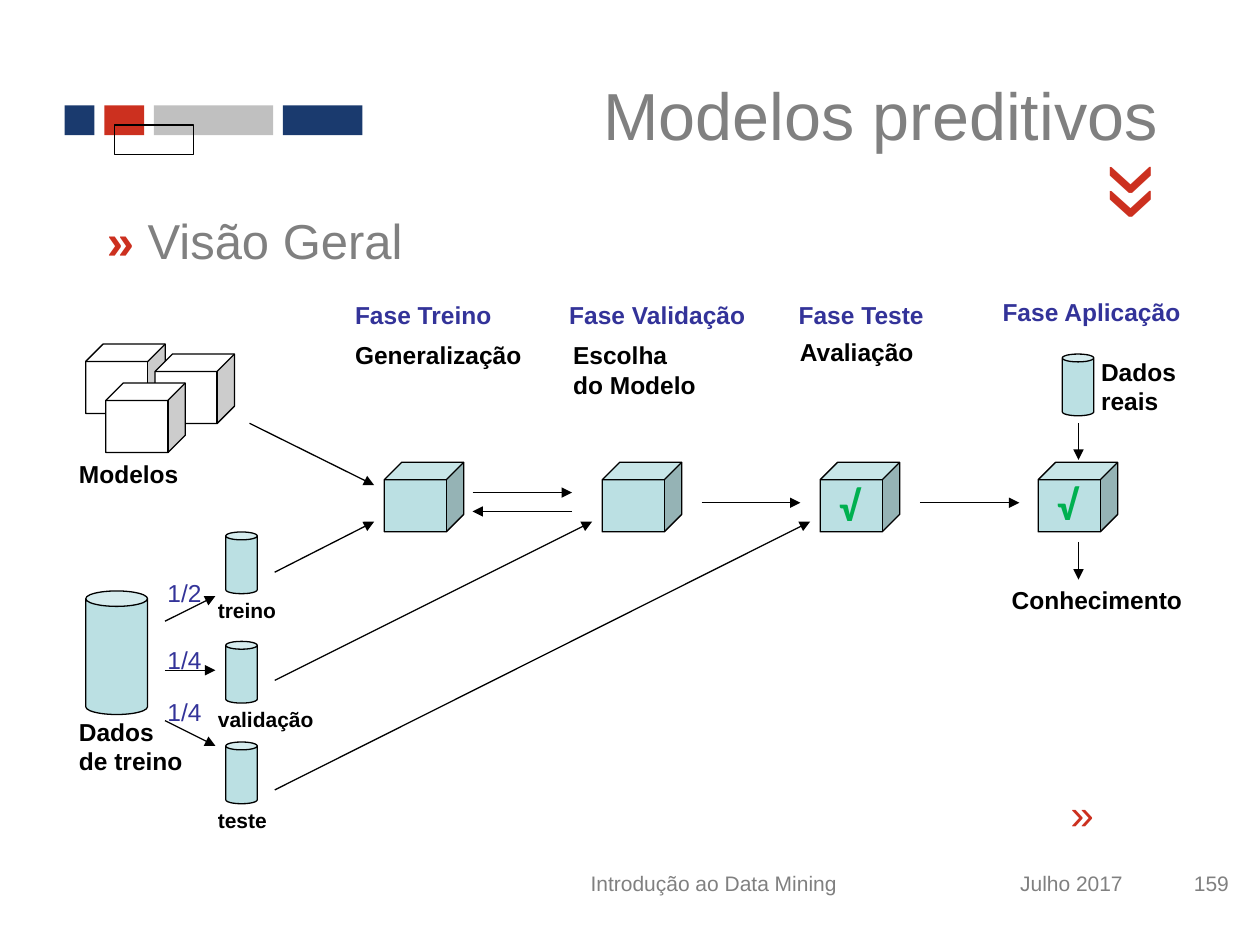
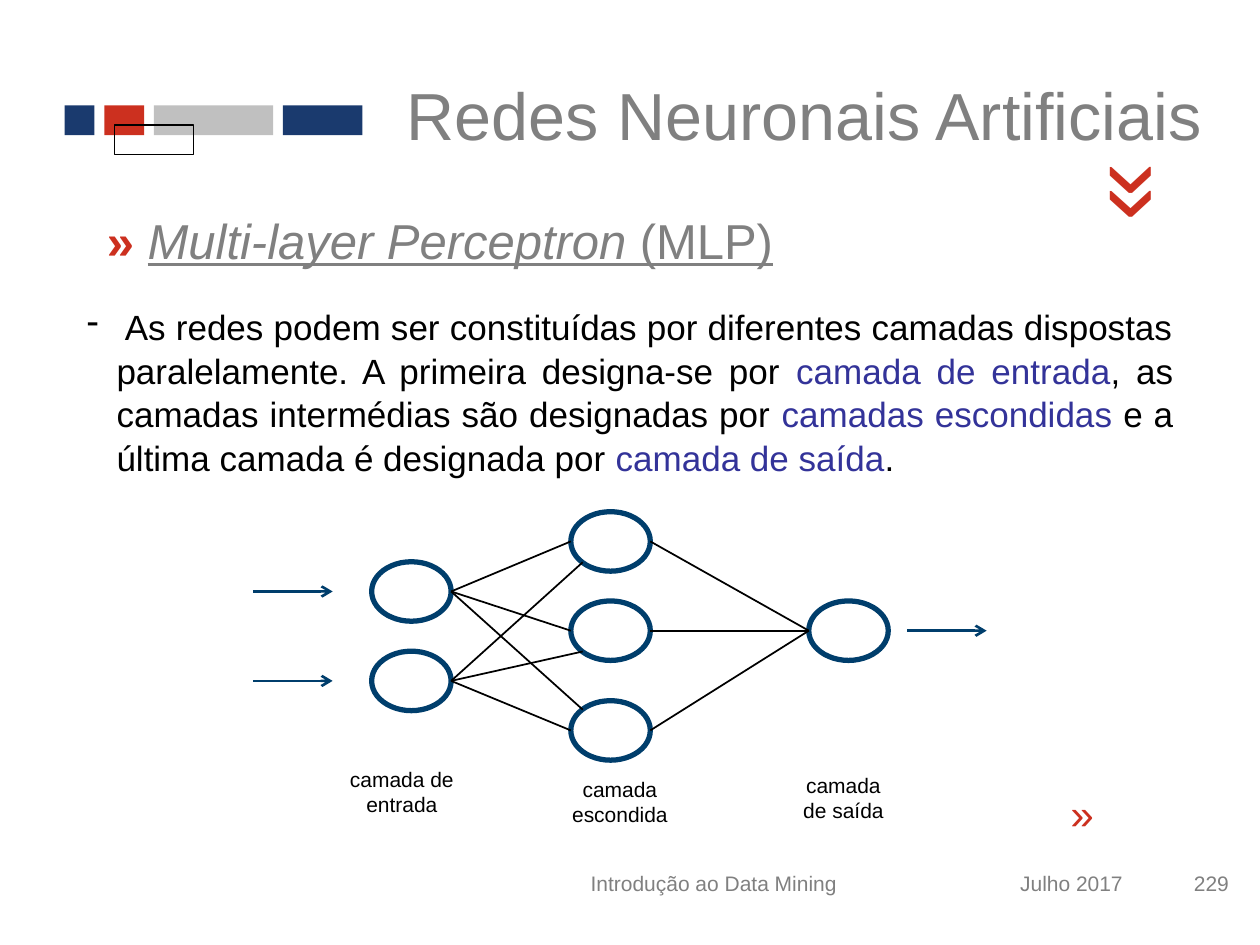
from lxml import etree
from pptx import Presentation
from pptx.dml.color import RGBColor
from pptx.enum import shapes, text
from pptx.oxml import ns
from pptx.util import Pt

NAVY, RED, SILVER, GRAY = "1A3A6E", "CC301F", "C0C0C0", "808080"
BLACK, WHITE, INDIGO, AQUA = "000000", "FFFFFF", "333399", "BBE0E3"
NEURON, GREEN = "003E6C", "00B050"
SHAPE, ALIGN = shapes.MSO_SHAPE, text.PP_ALIGN
LABEL = {"size": Pt(14), "bold": True}
SMALL_LABEL = {"size": Pt(12), "bold": True}
PHASE = {**LABEL, "color": INDIGO}
FOOTER = {"size": Pt(12), "color": GRAY}
CUBE, SMALL_CAN, LARGE_CAN = (45.4, 39.7), (18, 35.3), (35.3, 70.6)
STEP = 124.56


def color(value):
    """Turn a hex string into a colour."""
    return RGBColor.from_string(value)


def apply_format(font, values):
    """Set font attributes from a dict of format values."""
    for name, value in {"name": "Arial", "color": BLACK, **values}.items():
        if name == "color":
            font.color.rgb = color(value)
        else:
            setattr(font, name, value)


def add_bullet(paragraph, character, indent):
    """Give a paragraph a hanging bullet."""
    properties = paragraph._p.get_or_add_pPr()
    properties.set("marL", str(Pt(indent)))
    properties.set("indent", str(-Pt(indent)))
    etree.SubElement(properties, ns.qn("a:buChar")).set("char", character)


def add_text(slide, box, lines, values, align=ALIGN.LEFT, middle=False, wrap=True, rotation=0):
    """Add a text box whose lines are strings or lists of (text, format) runs."""
    shape = slide.shapes.add_textbox(*map(Pt, box))
    shape.rotation = rotation
    frame = shape.text_frame
    frame.word_wrap = wrap
    if middle:
        frame.vertical_anchor = text.MSO_ANCHOR.MIDDLE
    for index, line in enumerate(lines):
        paragraph = frame.add_paragraph() if index else frame.paragraphs[0]
        paragraph.alignment = align
        for words, extra in [(line, {})] if isinstance(line, str) else line:
            run = paragraph.add_run()
            run.text = words
            apply_format(run.font, {**values, **extra})
    return frame


def add_label(slide, left, top, width, lines, values=LABEL):
    """Add an unwrapped label as high as its lines."""
    height = len(lines) * values["size"].pt * 1.2 + 7.2
    add_text(slide, (left, top, width, height), lines, values, wrap=False)


def add_figure(slide, kind, left, top, size, fill=None, line=BLACK, weight=0.75):
    """Add a preset shape with optional fill and outline."""
    shape = slide.shapes.add_shape(kind, *map(Pt, (left, top, *size)))
    shape.shadow.inherit = False
    if fill:
        shape.fill.solid()
        shape.fill.fore_color.rgb = color(fill)
    else:
        shape.fill.background()
    if line:
        shape.line.color.rgb = color(line)
        shape.line.width = Pt(weight)
    else:
        shape.line.fill.background()


def add_line(slide, start, end, head="triangle", line=BLACK, weight=0.75):
    """Draw a straight line, with an arrowhead at its end unless head is None."""
    connector = slide.shapes.add_connector(
        shapes.MSO_CONNECTOR.STRAIGHT, *map(Pt, (*start, *end)))
    connector.line.color.rgb = color(line)
    connector.line.width = Pt(weight)
    properties = connector._element.spPr
    if head:
        outline = properties.find(ns.qn("a:ln"))
        etree.SubElement(outline, ns.qn("a:tailEnd")).set("type", head)
    etree.SubElement(properties, ns.qn("a:effectLst"))


def draw_band(slide, box):
    """Draw the coloured band and its outlined block."""
    left, top = box
    for offset, width, fill in ((0, 17, NAVY), (22.7, 22.7, RED),
                                (51, 68.2, SILVER), (124.8, 45.4, NAVY)):
        add_figure(slide, SHAPE.RECTANGLE, left + offset, top, (width, 17), fill, None)
    add_figure(slide, SHAPE.RECTANGLE, left + 28.5, top + 11.3, (45.4, 17))


def draw_footer(slide, box, number):
    """Write course, date and page number in the footer."""
    left, top, height = box
    for offset, width, words, align in (
            (0, 221, "Introdução ao Data Mining", ALIGN.CENTER),
            (221, 130.3, "Julho 2017", ALIGN.RIGHT),
            (355, 56.9, number, ALIGN.RIGHT)):
        add_text(slide, (left + offset, top, width, height), [words], FOOTER, align, True)


def new_slide(presentation, title, title_width, heading, number):
    """Add a slide with band, title, heading, chevrons and footer."""
    slide = presentation.slides.add_slide(presentation.slide_layouts[6])
    draw_band(slide, (36.9, 60.2))
    add_text(slide, (218.2, 31.7, title_width, 67), [title],
             {"size": Pt(38), "color": GRAY}, ALIGN.RIGHT, True)
    marker = ("» ", {"color": RED, "bold": True})
    add_text(slide, (54, 116.6, 607, 41), [[marker, *heading]],
             {"size": Pt(28), "color": GRAY})
    for box, size, rotation in (((595.4, 453, 36.7, 36), 24, 180),
                                ((618.5, 74.2, 39.6, 79.2), 60, 270)):
        add_text(slide, box, ["«"], {"size": Pt(size), "color": RED}, rotation=rotation)
    draw_footer(slide, (297.4, 484.6, 39.6), number)
    return slide


def draw_phases(slide, box):
    """Write the phase names and their purposes."""
    left, top = box
    for x, y, width, words in ((0, 0, 93, "Fase Treino"), (122.4, 0, 115, "Fase Validação"),
                               (253.5, 0, 86.5, "Fase Teste"),
                               (370, -1.5, 116.6, "Fase Aplicação")):
        add_label(slide, left + x, top + y, width, [words], PHASE)
    for x, y, width, lines in ((0, 23, 110, ["Generalização"]),
                               (124.6, 23, 85, ["Escolha", "do Modelo"]),
                               (254.2, 21.5, 80, ["Avaliação"])):
        add_label(slide, left + x, top + y, width, lines)


def draw_models(slide, box):
    """Draw the pile of candidate models and its arrow to training."""
    left, top = box
    for x, y in ((11, 0.6), (50.6, 6.3), (22.5, 22.9)):
        add_figure(slide, SHAPE.CUBE, left + x, top + y, CUBE, WHITE)
    add_label(slide, left, top + 62.5, 71.3, ["Modelos"])
    add_line(slide, (left + 104.6, top + 45.9), (left + 175.8, top + 81.2))


def draw_data(slide, box):
    """Draw the data store, its three samples and the arrows to each phase."""
    left, top = box
    add_figure(slide, SHAPE.CAN, left + 11, top + 33.7, LARGE_CAN, AQUA)
    add_label(slide, left, top + 102, 74.2, ["Dados", "de treino"])
    samples = (("treino", 48.2, 0, "1/2", 23, 51, 36.6, 23),
               ("validação", 70, 62.5, "1/4", 61, 79, 79, 84.8),
               ("teste", 42.5, 120, "1/4", 90.6, 107.8, 122.2, 147.4))
    for phase, (name, width, y, share, share_y, start, end, leave) in enumerate(samples):
        add_figure(slide, SHAPE.CAN, left + 91, top + y, SMALL_CAN, AQUA)
        add_label(slide, left + 79.4, top + y + 33.9, width, [name], SMALL_LABEL)
        add_label(slide, left + 50.6, top + share_y, 33.8, [share], {**PHASE, "bold": False})
        add_line(slide, (left + 56.3, top + start), (left + 85.1, top + end))
        add_line(slide, (left + 119, top + leave), (left + 175.8 + phase * STEP, top - 5.9))


def draw_pipeline(slide, box):
    """Draw the four phase cubes and the flow through them."""
    left, top = box
    for phase in range(4):
        add_figure(slide, SHAPE.CUBE, left + phase * STEP, top, CUBE, AQUA)
    for start, end, y in ((50.4, 107.3, 17.3), (107.3, 50.4, 28.1),
                          (181.4, 237.8, 23.1), (306, 362.9, 23.1)):
        add_line(slide, (left + start, top + y), (left + end, top + y))
    for phase, y in ((2, 6.5), (3, 5.8)):
        add_label(slide, left + phase * STEP + 3.6, top + y, 26.6, ["√"],
                  {"name": "Calibri", "size": Pt(24), "bold": True, "color": GREEN})
    add_figure(slide, SHAPE.CAN, left + 387.4, top - 61.9, SMALL_CAN, AQUA)
    add_label(slide, left + 402.5, top - 64, 57.6, ["Dados", "reais"])
    for start, end in ((-22.3, -1.4), (45.4, 67)):
        add_line(slide, (left + 396.7, top + start), (left + 396.7, top + end))
    add_label(slide, left + 351.4, top + 66.3, 112.3, ["Conhecimento"])


def draw_network(slide, box):
    """Draw the perceptron layers, their links, arrows and captions."""
    left, top = box
    width, height = 45.4, 34
    inputs = [(67.7, 28.6), (67.7, 79.7)]
    hidden = [(181.5, 0), (181.5, 51), (181.5, 108)]
    output = (317.5, 51)

    def site(node, across, down):
        """Find a point of a neuron by fractions of its size."""
        return left + node[0] + across * width, top + node[1] + down * height

    for node in (*inputs, *hidden, output):
        add_figure(slide, SHAPE.OVAL, left + node[0], top + node[1], (width, height),
                   None, NEURON, 3)
    west, southwest, northwest = (0, 0.5), (0.15, 0.85), (0.15, 0.15)
    links = [(site(source, 1, 0.5), site(target, *side))
             for source, sides in zip(inputs, ((west, west, northwest),
                                               (southwest, southwest, west)))
             for target, side in zip(hidden, sides)]
    links += [(site(node, 1, 0.5), site(output, *west)) for node in hidden]
    for start, end in links:
        add_line(slide, start, end, None, weight=1)
    for x, node in ((0, inputs[0]), (0, inputs[1]), (373.7, output)):
        y = top + node[1] + height / 2
        add_line(slide, (left + x, y), (left + x + 45.4, y), "arrow", NEURON, 1.5)
    for x, y, wide, words in ((45.4, 142, 79.2, "camada de entrada"),
                              (170, 147.7, 79.2, "camada escondida"),
                              (306, 145.5, 62.6, "camada de saída")):
        add_text(slide, (left + x, top + y, wide, 36), [words], {"size": Pt(12)}, ALIGN.CENTER)


def draw_explanation(slide, box):
    """Write the justified explanation of the layers."""
    accent = {"color": INDIGO}
    runs = [(" As redes podem ser constituídas por diferentes camadas dispostas "
             "paralelamente. A primeira designa-se por ", {}),
            ("camada de entrada", accent),
            (", as camadas intermédias são designadas por ", {}),
            ("camadas escondidas ", accent),
            ("e a última camada é designada por ", {}),
            ("camada de saída", accent), (".", {})]
    frame = add_text(slide, box, [runs], {"size": Pt(20)}, ALIGN.JUSTIFY)
    paragraph = frame.paragraphs[0]
    paragraph.line_spacing = 1.04
    add_bullet(paragraph, "-", 17)


def build_overview(presentation):
    """Build the slide on predictive models."""
    slide = new_slide(presentation, "Modelos preditivos", 450.7,
                      [("Visão Geral", {})], "159")
    draw_phases(slide, (195.8, 167.8))
    draw_models(slide, (38, 196))
    draw_data(slide, (38, 304))
    draw_pipeline(slide, (219.6, 264.2))


def build_perceptron(presentation):
    """Build the slide on the multi-layer perceptron."""
    heading = [("Multi-layer Perceptron", {"italic": True, "underline": True}),
               (" (MLP)", {"underline": True})]
    slide = new_slide(presentation, "Redes Neuronais Artificiais", 475.9, heading, "229")
    draw_explanation(slide, (42.5, 170, 635, 104.4))
    draw_network(slide, (144.7, 292.4))


def main():
    """Build and save the presentation."""
    presentation = Presentation()
    presentation.slide_width, presentation.slide_height = Pt(720), Pt(540)
    build_overview(presentation)
    build_perceptron(presentation)
    presentation.save("out.pptx")


if __name__ == "__main__":
    main()
